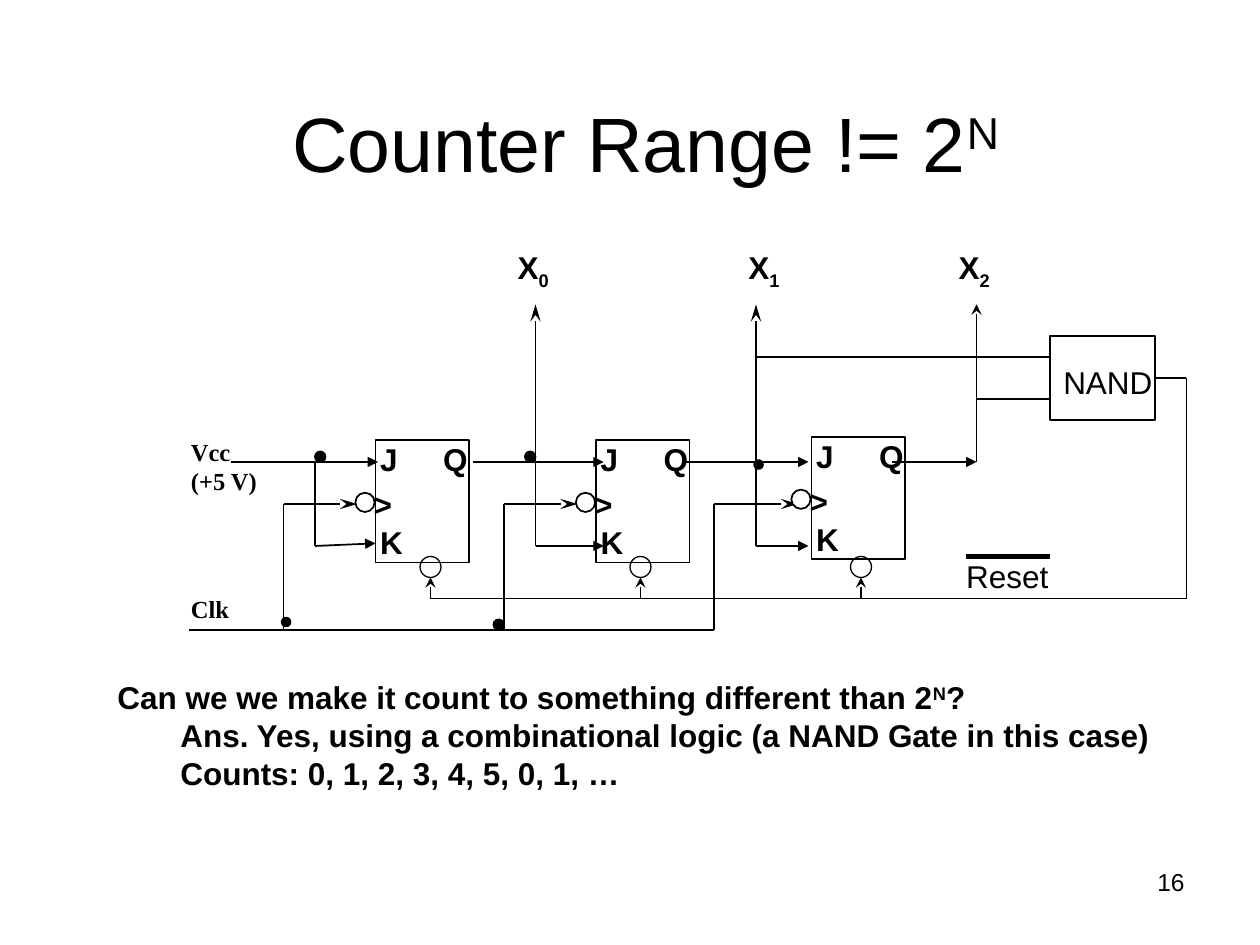
from dataclasses import dataclass
from lxml import etree
from pptx import Presentation
from pptx.dml.color import RGBColor
from pptx.enum.shapes import MSO_CONNECTOR, MSO_SHAPE
from pptx.enum.text import MSO_ANCHOR, MSO_AUTO_SIZE, PP_ALIGN
from pptx.oxml.ns import qn
from pptx.util import Pt

STRAIGHT = MSO_CONNECTOR.STRAIGHT
RECT, OVAL = MSO_SHAPE.RECTANGLE, MSO_SHAPE.OVAL
BOTTOM = MSO_ANCHOR.BOTTOM
FIT, NO_FIT = MSO_AUTO_SIZE.SHAPE_TO_FIT_TEXT, MSO_AUTO_SIZE.NONE
LEFT, CENTER, RIGHT = PP_ALIGN.LEFT, PP_ALIGN.CENTER, PP_ALIGN.RIGHT


@dataclass(frozen=True)
class Theme:
    """Colours, fonts, type sizes and line widths."""
    ink: RGBColor = RGBColor(0, 0, 0)
    paper: RGBColor = RGBColor(255, 255, 255)
    sans: str = "Arial"
    serif: str = "Times New Roman"
    title: int = 44
    body: int = 18
    small: int = 14
    thin: float = 0.75
    medium: float = 1
    thick: float = 3


class Diagram:
    """Draws circuit elements on one slide, in points."""

    def __init__(self, slide, theme):
        self.s, self.t = slide, theme

    def runs(self, p, parts, **fmt):
        """Add (text, baseline percent) runs to a paragraph."""
        values = {"name": self.t.sans, "size": self.t.body, "bold": True} | fmt
        values["size"] = Pt(values["size"])
        for text, base in parts:
            r = p.add_run()
            r.text = text
            for key, value in values.items():
                setattr(r.font, key, value)
            r.font.color.rgb = self.t.ink
            if base:
                r._r.get_or_add_rPr().set("baseline", str(base * 1000))

    def title(self, box, parts):
        """Place and fill the title placeholder."""
        sp = self.s.shapes.title
        for key, value in zip(("left", "top", "width", "height"), box):
            setattr(sp, key, Pt(value))
        tf = sp.text_frame
        for key, value in {"vertical_anchor": BOTTOM, "auto_size": NO_FIT, "word_wrap": True}.items():
            setattr(tf, key, value)
        p = tf.paragraphs[0]
        p.alignment, p.line_spacing = CENTER, 0.9
        self.runs(p, parts, size=self.t.title, bold=False)

    def text(self, box, *lines, wrap=False, align=LEFT, fit=FIT, **fmt):
        """Add a text box; lines after the first are indented."""
        tf = self.s.shapes.add_textbox(*map(Pt, box)).text_frame
        tf.word_wrap, tf.auto_size = wrap, fit
        for i, parts in enumerate(lines):
            p = tf.add_paragraph() if i else tf.paragraphs[0]
            p.alignment, p.level = align, min(i, 1)
            self.runs(p, parts, **fmt)

    def shape(self, kind, box, fill=None, width=1):
        """Add an outlined shape, filled when a colour is given."""
        sp = self.s.shapes.add_shape(kind, *map(Pt, box))
        sp.shadow.inherit = False
        if fill is None:
            sp.fill.background()
        else:
            sp.fill.solid()
            sp.fill.fore_color.rgb = fill
        sp.line.color.rgb, sp.line.width = self.t.ink, Pt(width)
        return sp

    def wire(self, x1, y1, x2, y2, width=0.75, arrow=None, length="med"):
        """Add a straight wire with an optional arrowhead at its end."""
        sp = self.s.shapes.add_connector(STRAIGHT, *map(Pt, (x1, y1, x2, y2)))
        sp.line.color.rgb, sp.line.width = self.t.ink, Pt(width)
        if arrow:
            ln = sp.line._get_or_add_ln()
            etree.SubElement(ln, qn("a:tailEnd"), type=arrow, w="med", len=length)
        etree.SubElement(sp._element.spPr, qn("a:effectLst"))
        return sp

    def dot(self, x, y, size, width):
        """Add a junction dot."""
        self.shape(OVAL, (x, y, size, size), self.t.ink, width)

    def flip_flop(self, x, y):
        """Add a JK flip-flop with an inverted clock input."""
        self.shape(RECT, (x, y, 53.5, 70), self.t.paper, self.t.medium)
        self.shape(OVAL, (x - 11.5, y + 30.2, 11, 11), self.t.paper, self.t.medium)
        for name, dx, dy, w in ((">", -8.2, 22.3, 25.2), ("J", -4.4, -3.6, 24.5),
                                ("K", -4.4, 43.9, 27.4), ("Q", 31.6, -3.6, 28.8)):
            self.text((x + dx, y + dy, w, 28.8), [(name, 0)])


def main():
    prs = Presentation()
    prs.slide_width, prs.slide_height = Pt(720), Pt(540)
    s = prs.slides.add_slide(prs.slide_layouts[5])
    t = Theme()
    d = Diagram(s, t)
    j_row, clk_row, k_row, reset_row, clk_bus = 264, 288, 312, 342, 360
    taps = [180, 306, 432, 558]
    top = 174

    d.title((36, 21.6, 666, 90), [("Counter Range != 2", 0), ("N", 30)])
    d.text((516, 492, 168, 37.5), [("16", 0)], wrap=True, align=RIGHT, fit=NO_FIT,
           size=t.small, bold=False)
    d.text((60, 384, 605.5, 72),
           [("Can we we make it count to something different than 2", 0), ("N", 30), ("?", 0)],
           [("Ans. Yes, using a combinational logic (a NAND Gate in this case)", 0)],
           [("Counts: 0, 1, 2, 3, 4, 5, 0, 1, …", 0)])

    for x, tip in ((162, 204), (288, 330), (408, 456)):
        d.wire(x, clk_bus, x, clk_row, t.medium)
        d.wire(x, clk_row, tip, clk_row, t.medium, "stealth", "lg")
    d.wire(108, clk_bus, 408, clk_bus, t.medium)
    for x, y in ((214.6, 251.4), (340.6, 251.4), (463.7, 249.6)):
        d.flip_flop(x, y)

    for start, end in ((132, 216), (270, 345), (390, 462), (510, 558)):
        d.wire(start, j_row, end, j_row, t.medium, "triangle")
    for x, end, y in zip(taps, (214.6, 345, 462), (310.5, k_row, k_row)):
        d.wire(x, j_row, x, k_row)
        d.wire(x, k_row, end, y, t.medium, "triangle")
    for x in taps[1:3]:
        d.wire(x, j_row, x, top, t.medium, "stealth", "lg")
    d.wire(taps[3], j_row, taps[3], top, t.thin, "stealth")
    for i, x in enumerate((288.7, 420.5, 540.7)):
        d.text((x, 138.2, 32.4, 31.7), [("X", 0), (str(i), -25)])

    for x, y in ((180, 258), (300, 258), (282, 354)):
        d.dot(x, y, 6, t.medium)
    for x, y in ((162, 354), (432, 264)):
        d.dot(x, y, 3, t.thick)

    for x in (246, 366, 492):
        d.shape(OVAL, (x - 6, 318, 12, 12), width=t.thin)
        d.wire(x, reset_row, x, 330, t.thin, "stealth")
    d.wire(246, reset_row, 678, reset_row)
    d.wire(678, 216, 678, reset_row)
    nand = d.shape(RECT, (600, 192, 60, 48), width=t.thin)
    d.wire(660, 216, 678, 216).begin_connect(nand, 3)
    for x, y in zip(taps[2:], (204, 228)):
        d.wire(x, y, 600, y)
    d.wire(552, 318, 600, 318, t.thick)

    d.text((600.5, 204, 65.5, 28.8), [("NAND", 0)], bold=False)
    d.text((545, 314.6, 61.2, 28.8), [("Reset", 0)], bold=False)
    for y, h, name in ((246, 41, "Vcc (+5 V)"), (336, 24.5, "Clk")):
        d.text((102, y, 54, h), [(name, 0)], wrap=True, name=t.serif, size=t.small)
    prs.save("out.pptx")


if __name__ == "__main__":
    main()
